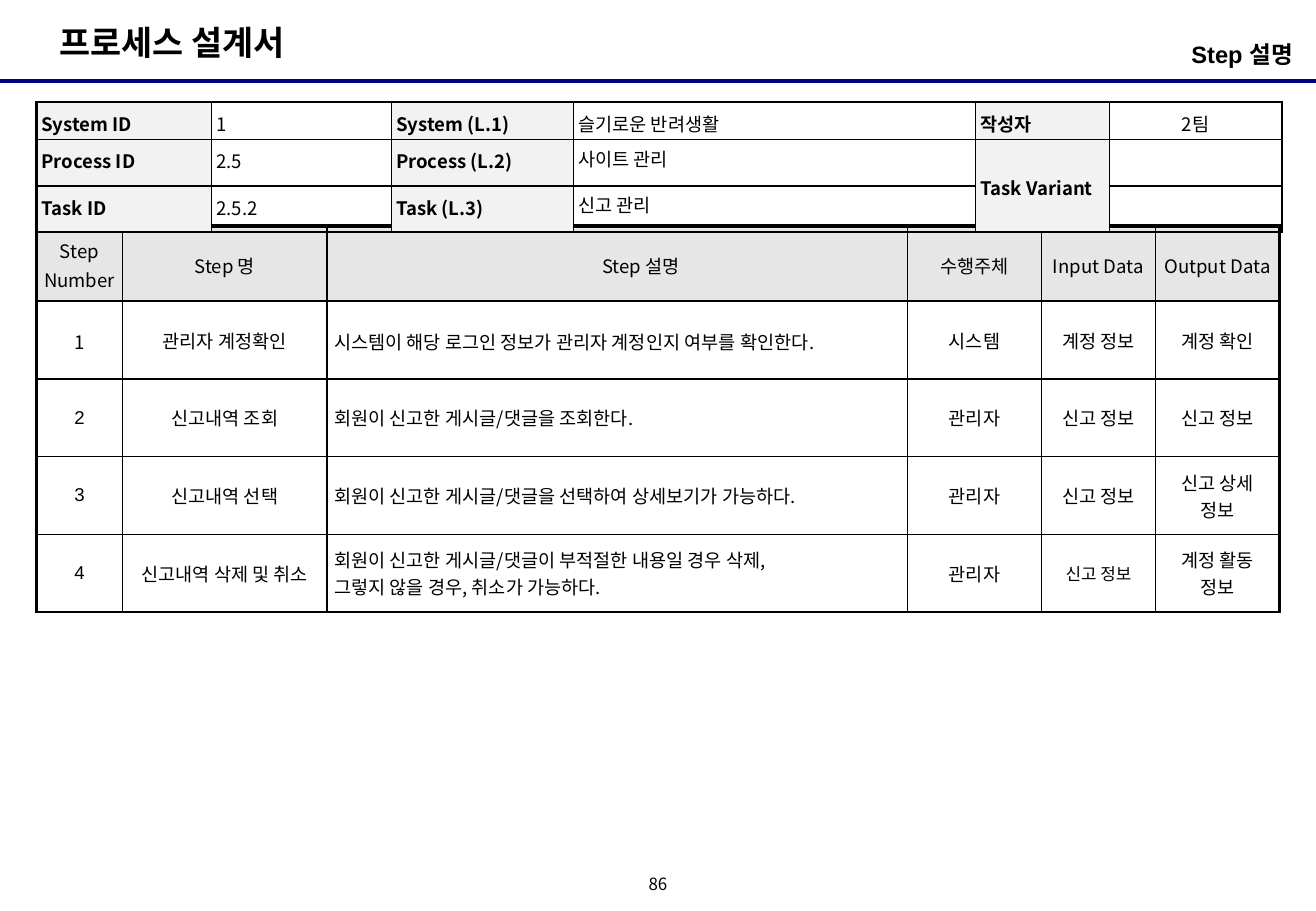
from lxml.etree import SubElement
from pptx import Presentation
from pptx.dml.color import RGBColor
from pptx.enum.shapes import MSO_CONNECTOR as Connector
from pptx.enum.text import MSO_ANCHOR as Anchor, PP_ALIGN as Align
from pptx.oxml.ns import qn
from pptx.util import Inches, Pt

BLACK = RGBColor(0x00, 0x00, 0x00)
NAVY = RGBColor(0x00, 0x00, 0x80)
LABEL_GRAY = RGBColor(0xF2, 0xF2, 0xF2)
HEADER_GRAY = RGBColor(0xE6, 0xE6, 0xE6)
SANS, ARIAL = "Noto Sans CJK KR", "Arial"
WIDTH, HEIGHT = 10.83, 7.5
MARGIN = 0.3


def write(frame, text, size=11, font=SANS, bold=False, align=Align.LEFT, spacing=None):
    para = frame.paragraphs[0]
    para.text = text
    para.alignment = align
    para.line_spacing = spacing
    for span in para.runs:
        span.font.size = Pt(size)
        span.font.name = font
        span.font.bold = bold
        span.font.color.rgb = BLACK
        SubElement(span.font._element, qn("a:ea"), typeface=SANS)


def draw_border(cell, side, points):
    line = SubElement(cell._tc.get_or_add_tcPr(), qn(f"a:ln{side}"), w=str(Pt(points)))
    SubElement(SubElement(line, qn("a:solidFill")), qn("a:srgbClr"), val=str(BLACK))


deck = Presentation()
deck.slide_width, deck.slide_height = Inches(WIDTH), Inches(HEIGHT)
page = deck.slides.add_slide(deck.slide_layouts[6])

rule = page.shapes.add_connector(
    Connector.STRAIGHT, 0, Inches(0.67), deck.slide_width, Inches(0.67))
rule.line.color.rgb = NAVY
rule.line.width = Pt(2.25)
SubElement(rule._element.spPr, qn("a:effectLst"))

captions = [
    ("프로세스 설계서", (0.39, 0.13, 2.26, 0.44), (0.1, 0.05), Anchor.TOP,
     dict(size=20, font=ARIAL, bold=True)),
    ("86", (5.25, 7.17, 0.33, 0.25), (0, 0), Anchor.MIDDLE,
     dict(size=10, align=Align.CENTER, spacing=0.8)),
    ("Step 설명", (7.39, 0.28, 3.25, 0.39), (0, 0.05), Anchor.TOP,
     dict(size=14, font=ARIAL, bold=True, align=Align.RIGHT)),
]
for text, place, (side_inset, end_inset), anchor, style in captions:
    frame = page.shapes.add_textbox(*map(Inches, place)).text_frame
    frame.word_wrap = True
    frame.vertical_anchor = anchor
    frame.margin_left = frame.margin_right = Inches(side_inset)
    frame.margin_top = frame.margin_bottom = Inches(end_inset)
    write(frame, text, **style)

step_rows = [
    ["Step Number", "Step 명", "Step 설명", "수행주체", "Input Data", "Output Data"],
    ["1", "관리자 계정확인", "시스템이 해당 로그인 정보가 관리자 계정인지 여부를 확인한다.",
     "시스템", "계정 정보", "계정 확인"],
    ["2", "신고내역 조회", "회원이 신고한 게시글/댓글을 조회한다.",
     "관리자", "신고 정보", "신고 정보"],
    ["3", "신고내역 선택", "회원이 신고한 게시글/댓글을 선택하여 상세보기가 가능하다.",
     "관리자", "신고 정보", "신고 상세 정보"],
    ["4", "신고내역 삭제 및 취소",
     "회원이 신고한 게시글/댓글이 부적절한 내용일 경우 삭제,\v그렇지 않을 경우, 취소가 가능하다.",
     "관리자", "신고 정보", "계정 활동 정보"],
]
summary_rows = [
    ["System ID", "1", "System (L.1)", "슬기로운 반려생활", "작성자", "2팀"],
    ["Process ID", "2.5", "Process (L.2)", "사이트 관리", "Task Variant", ""],
    ["Task ID", "2.5.2", "Task (L.3)", "신고 관리", "", ""],
]
tables = [
    ("steps", step_rows, 1.86, [0.71, 1.68, 4.78, 1.1, 0.94, 1.02],
     [0.62] + [0.64] * 4, 2.25, 1, 0.06),
    ("summary", summary_rows, 0.84, [1.44, 1.48, 1.5, 3.31, 1.1, 1.42],
     [0.31] * 3, 1.5, 1.5, 0.04),
]
for name, rows, top, widths, heights, edge, bottom_edge, inset in tables:
    last_row, last_column = len(rows) - 1, len(widths) - 1
    table = page.shapes.add_table(
        len(rows), len(widths), Inches(MARGIN), Inches(top),
        Inches(sum(widths)), Inches(sum(heights))).table
    table.first_row = table.horz_banding = False
    for column, width in zip(table.columns, widths):
        column.width = Inches(width)
    for row, height in zip(table.rows, heights):
        row.height = Inches(height)
    if name == "summary":
        table.cell(1, 4).merge(table.cell(2, 4))

    for r, texts in enumerate(rows):
        for c, text in enumerate(texts):
            cell = table.cell(r, c)
            reaches_bottom = r == last_row or cell.is_merge_origin
            draw_border(cell, "L", edge if c == 0 else 1)
            draw_border(cell, "R", edge if c == last_column else 1)
            draw_border(cell, "T", edge if r == 0 else 1)
            draw_border(cell, "B", bottom_edge if reaches_bottom else 1)
            cell.margin_left = cell.margin_right = Inches(inset)
            cell.margin_top = cell.margin_bottom = Inches(0.04)

            if name == "steps":
                shade = HEADER_GRAY if r == 0 else None
                middle = True
                noto = r == 0 or c == 2 or (r, c) in [(1, 0), (4, 4)] or (c == 1 and r > 1)
                style = dict(
                    size=10 if (r, c) == (4, 4) else 11,
                    font=SANS if noto else ARIAL,
                    align=Align.LEFT if c == 2 and r else Align.CENTER,
                    spacing=1.1 if r == 0 or (r, c) in [(1, 0), (1, 2)] else None)
            else:
                label = c % 2 == 0
                shade = LABEL_GRAY if label else None
                middle = c >= 4
                style = dict(
                    bold=label,
                    align=Align.CENTER if c == last_column else Align.LEFT,
                    spacing=None if c == 3 and r else 1.1)

            if shade:
                cell.fill.solid()
                cell.fill.fore_color.rgb = shade
            else:
                cell.fill.background()
            cell.vertical_anchor = Anchor.MIDDLE if middle else Anchor.TOP
            if text:
                write(cell.text_frame, text, **style)

    if name == "steps":
        heading = table.cell(0, 2).text_frame.paragraphs[0]
        heading._p.get_or_add_pPr().set("marL", str(Inches(0.39)))

deck.save("out.pptx")
